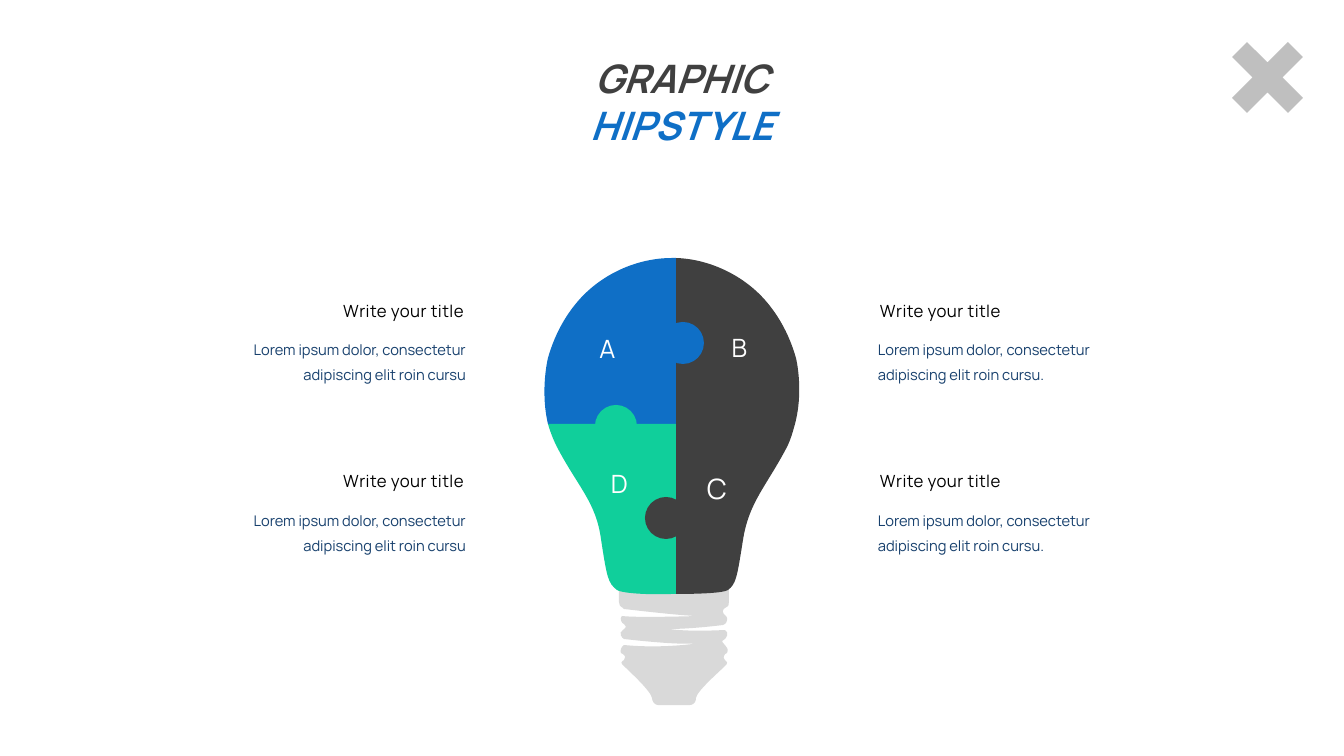
from lxml import etree
from pptx import Presentation
from pptx.dml.color import RGBColor
from pptx.enum.shapes import MSO_SHAPE
from pptx.enum.text import MSO_AUTO_SIZE, PP_ALIGN
from pptx.oxml.ns import qn
from pptx.util import Pt

PX = 914400 / 100.8
PLUS, OVAL = MSO_SHAPE.CROSS, MSO_SHAPE.OVAL
LEFT, CENTER, RIGHT = PP_ALIGN.LEFT, PP_ALIGN.CENTER, PP_ALIGN.RIGHT
GROW = MSO_AUTO_SIZE.SHAPE_TO_FIT_TEXT
FONT = "Manrope"
BLUE, GREEN, DARK, WHITE = "0F6FC6", "10CF9B", "404040", "FFFFFF"

deck = Presentation()
deck.slide_width, deck.slide_height = round(1344 * PX), round(756 * PX)
page = deck.slides.add_slide(deck.slide_layouts[6])


def paint(shape, color):
    shape.shadow.inherit = False
    shape.fill.solid()
    shape.fill.fore_color.rgb = RGBColor.from_string(color)
    shape.line.fill.background()


def add_text(holder, bounds, lines, size, color, align, margins=(10, 5), wrap=True):
    box = holder.shapes.add_textbox(*[round(v * PX) for v in bounds])
    frame = box.text_frame
    frame.word_wrap = wrap
    frame.auto_size = GROW
    frame.margin_left = frame.margin_right = round(margins[0] * PX)
    frame.margin_top = frame.margin_bottom = round(margins[1] * PX)
    frame.text = "\n".join(lines)
    for para in frame.paragraphs:
        para.alignment = align
        for span in para.runs:
            span.font.name, span.font.size = FONT, Pt(size)
            span.font.color.rgb = RGBColor.from_string(color)
    return frame


# Corner cross
cross = page.shapes.add_shape(PLUS, *[round(v * PX) for v in (1228, 38, 79, 79)])
cross.adjustments[0] = 0.366
cross.rotation = 45
paint(cross, "BFBFBF")

# Heading
heading = add_text(page, (492, 49, 379, 104), ["GRAPHIC"], 28, DARK, CENTER).paragraphs[0]
second = heading.add_run()
second.text = " HIPSTYLE"
second.font.name, second.font.size = FONT, Pt(28)
second.font.color.rgb = RGBColor.from_string(BLUE)
for span in heading.runs:
    span.font.bold = span.font.italic = True

# Bulb outlines: a start point, then lines (x, y) and cubic curves (two controls, end)
screw_base = [
    (725, 608), (729, 606, 729, 605, 729, 602), (729, 589), (619, 589), (619, 602),
    (619, 605, 620, 606, 623, 608), (624, 609), (624, 609, 683, 616, 698, 616),
    (698, 616, 638, 618, 622, 616), (619, 618, 622, 624, 624, 624),
    (625, 625, 628, 627, 623, 630), (618, 633, 622, 638, 624, 639),
    (624, 639, 682, 646, 700, 643), (700, 643, 664, 649, 624, 645),
    (621, 647, 620, 651, 621, 653), (622, 654, 624, 654, 625, 656),
    (625, 657, 625, 659, 624, 660), (621, 662, 620, 663, 625, 667),
    (630, 672, 651, 691, 652, 698), (653, 705, 658, 705, 658, 705), (690, 705),
    (690, 705, 696, 705, 696, 698), (697, 691, 719, 672, 724, 667),
    (729, 663, 727, 662, 725, 660), (724, 659, 723, 657, 724, 656),
    (724, 654, 726, 654, 727, 653), (729, 650, 727, 647, 725, 645),
    (720, 641, 723, 640, 725, 639), (726, 638, 730, 633, 725, 630),
    (684, 632, 670, 629, 670, 629), (692, 629, 723, 625, 723, 625), (725, 624),
    (726, 624, 729, 618, 726, 616), (722, 613, 722, 610, 725, 608),
]
top_right = [
    (795, 424), (804, 390, 796, 358, 796, 358), (790, 337, 780, 317, 765, 300),
    (743, 275, 709, 259, 676, 258), (676, 424),
]
top_left = [
    (676, 258), (672, 258), (637, 258, 602, 274, 579, 300),
    (564, 317, 554, 337, 548, 358), (548, 358, 540, 390, 548, 424), (676, 424),
]
bottom_right = [
    (676, 424), (676, 594), (700, 594, 724, 593, 728, 590),
    (736, 584, 737, 578, 743, 540), (749, 502, 766, 487, 787, 447),
    (791, 439, 793, 431, 795, 424),
]
bottom_left = [
    (548, 424), (550, 431, 553, 439, 557, 447), (578, 487, 596, 502, 601, 539),
    (607, 578, 608, 583, 617, 590), (621, 593, 646, 595, 672, 594),
    (676, 594), (676, 424),
]
bulb = page.shapes.add_group_shape()
for outline, color in [(screw_base, "D9D9D9"), (top_right, DARK), (top_left, BLUE),
                       (bottom_right, DARK), (bottom_left, GREEN)]:
    points = [(round(segment[i] * PX), round(segment[i + 1] * PX))
              for segment in outline for i in range(0, len(segment), 2)]
    builder = bulb.shapes.build_freeform(*points[0])
    builder.add_line_segments(points[1:], close=True)
    piece = builder.convert_to_shape()
    paint(piece, color)
    # Fold each run of three line steps that belongs to a curve into one cubic
    steps = iter(piece._element.xpath(".//a:path/a:lnTo"))
    for segment in outline[1:]:
        step = next(steps)
        if len(segment) == 6:
            curve = etree.Element(qn("a:cubicBezTo"))
            step.addprevious(curve)
            for part in (step, next(steps), next(steps)):
                curve.append(part[0])
                part.getparent().remove(part)

# Puzzle knobs
for left, top, color in [(595, 405, GREEN), (662, 322, BLUE),
                         (712, 412, DARK), (645, 497, DARK)]:
    knob = bulb.shapes.add_shape(OVAL, *[round(v * PX) for v in (left, top, 42, 42)])
    paint(knob, color)

# Piece letters
for letter, bounds, size in [("A", (570, 333, 75, 30), 18), ("B", (702, 332, 75, 30), 18),
                             ("D", (582, 468, 75, 30), 18), ("C", (673, 472, 88, 33), 20)]:
    add_text(bulb, bounds, [letter], size, WHITE, CENTER, (0, 0))

# Notes on both sides of the bulb
for title_left, body_left, body_width, align, ending in [
        (870, 868, 257, LEFT, "adipiscing elit roin cursu."),
        (322, 223, 253, RIGHT, "adipiscing elit roin cursu")]:
    for title_top, body_top in [(296, 329), (466, 500)]:
        title = add_text(page, (title_left, title_top, 152, 30), ["Write your title"],
                         12, "000000", align, wrap=False)
        title.paragraphs[0].runs[0]._r.get_or_add_rPr().set("spc", "30")
        body = add_text(page, (body_left, body_top, body_width, 59),
                        ["Lorem ipsum dolor, consectetur", ending],
                        10.5, "17406D", align, wrap=False)
        for para in body.paragraphs:
            para.line_spacing = 1.4

deck.save("out.pptx")
